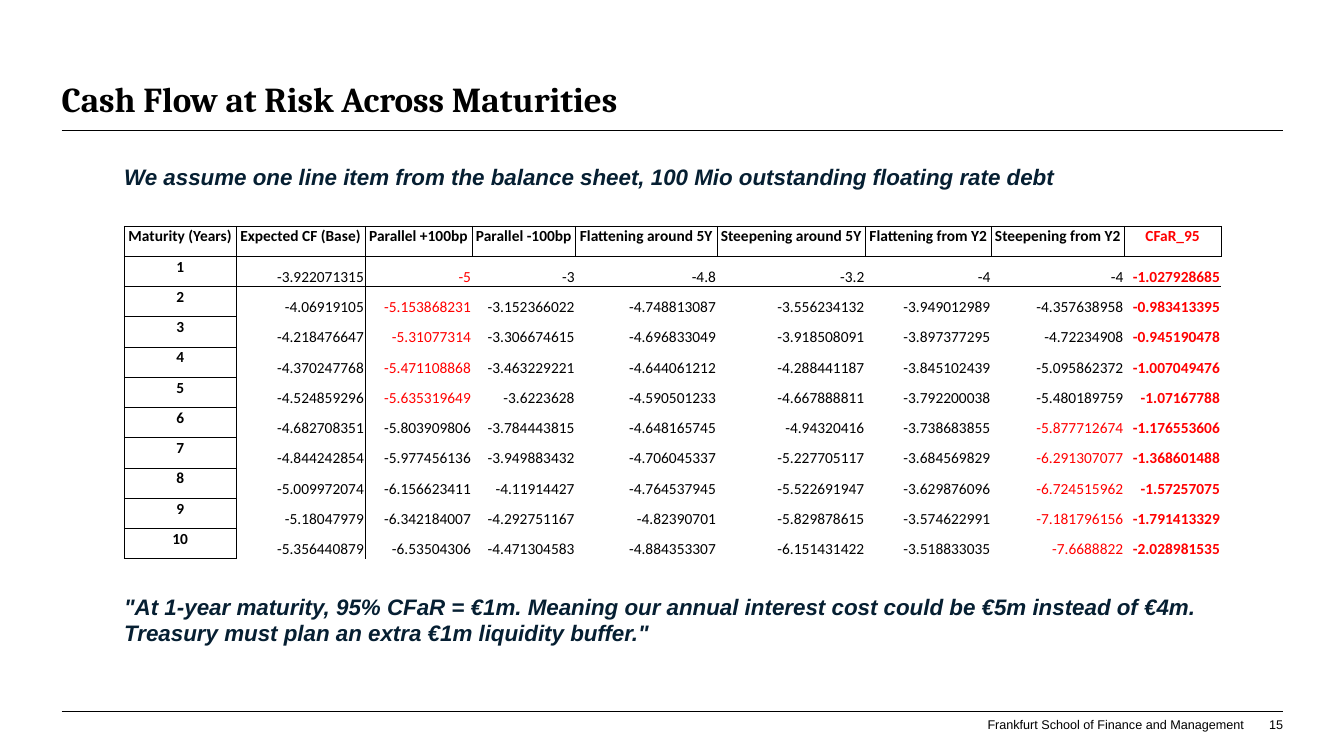
"""Build the slide on cash flow at risk across maturities."""
from lxml import etree
from pptx import Presentation
from pptx.dml.color import RGBColor
from pptx.enum import shapes, text
from pptx.oxml import ns
from pptx.util import Pt

HUES = {"ink": "000000", "navy": "061F32", "red": "FF0000"}
LEFT, CENTER, RIGHT = text.PP_ALIGN.LEFT, text.PP_ALIGN.CENTER, text.PP_ALIGN.RIGHT
TOP, BOTTOM = text.MSO_ANCHOR.TOP, text.MSO_ANCHOR.BOTTOM


def write(frame, words, hue, align, **form):
    para = frame.paragraphs[0]
    para.alignment = align
    run = para.add_run()
    run.text = words
    run.font.color.rgb = RGBColor.from_string(HUES[hue])
    for key, val in form.items():
        setattr(run.font, key, val)


def setup(frame, anchor, wrap=True):
    form = {"margin_left": 0, "margin_top": 0, "margin_right": 0, "margin_bottom": 0,
            "auto_size": text.MSO_AUTO_SIZE.NONE, "word_wrap": wrap,
            "vertical_anchor": anchor}
    for key, val in form.items():
        setattr(frame, key, val)


deck = Presentation()
deck.slide_width, deck.slide_height = Pt(960), Pt(540)
slide = deck.slides.add_slide(deck.slide_layouts[5])

title = slide.shapes.title
title.left, title.top, title.width, title.height = Pt(44), Pt(28), Pt(872.5), Pt(57.5)
setup(title.text_frame, BOTTOM)
write(title.text_frame, "Cash Flow at Risk Across Maturities", "ink", LEFT,
      name="Cambria", size=Pt(25), bold=True)

for y in (93, 508.3):
    rule = slide.shapes.add_connector(
        shapes.MSO_CONNECTOR.STRAIGHT, Pt(44), Pt(y), Pt(916.5), Pt(y))
    rule.line.width = Pt(0.5)
    rule.line.color.rgb = RGBColor.from_string(HUES["ink"])
    etree.SubElement(rule._element.spPr, ns.qn("a:effectLst"))

heads = ["Maturity (Years)", "Expected CF (Base)", "Parallel +100bp", "Parallel -100bp",
         "Flattening around 5Y", "Steepening around 5Y", "Flattening from Y2",
         "Steepening from Y2", "CFaR_95"]
flows = [
    [-3.922071315, -5, -3, -4.8, -3.2, -4, -4, -1.027928685],
    [-4.06919105, -5.153868231, -3.152366022, -4.748813087, -3.556234132,
     -3.949012989, -4.357638958, -0.983413395],
    [-4.218476647, -5.31077314, -3.306674615, -4.696833049, -3.918508091,
     -3.897377295, -4.72234908, -0.945190478],
    [-4.370247768, -5.471108868, -3.463229221, -4.644061212, -4.288441187,
     -3.845102439, -5.095862372, -1.007049476],
    [-4.524859296, -5.635319649, -3.6223628, -4.590501233, -4.667888811,
     -3.792200038, -5.480189759, -1.07167788],
    [-4.682708351, -5.803909806, -3.784443815, -4.648165745, -4.94320416,
     -3.738683855, -5.877712674, -1.176553606],
    [-4.844242854, -5.977456136, -3.949883432, -4.706045337, -5.227705117,
     -3.684569829, -6.291307077, -1.368601488],
    [-5.009972074, -6.156623411, -4.11914427, -4.764537945, -5.522691947,
     -3.629876096, -6.724515962, -1.57257075],
    [-5.18047979, -6.342184007, -4.292751167, -4.82390701, -5.829878615,
     -3.574622991, -7.181796156, -1.791413329],
    [-5.356440879, -6.53504306, -4.471304583, -4.884353307, -6.151431422,
     -3.518833035, -7.6688822, -2.028981535],
]
rows = [heads] + [[year] + flow for year, flow in enumerate(flows, 1)]
widths = [80, 92, 76.5, 74, 101, 106, 90, 95, 69]
last = len(heads) - 1

holder = slide.shapes.add_table(len(rows), len(heads), Pt(88.7), Pt(161.5),
                                Pt(sum(widths)), Pt(21.6 * len(rows)))
table = holder.table
table.first_row = table.horz_banding = False
holder._element.xpath(".//a:tableStyleId")[0].text = "{2D5ABB26-0587-4C30-8999-92F81FD0307C}"
for col, width in zip(table.columns, widths):
    col.width = Pt(width)

for r, row in enumerate(rows):
    table.rows[r].height = Pt(21.6)
    for c, value in enumerate(row):
        cell = table.cell(r, c)
        label = r == 0 or c == 0
        worst = r > 0 and 0 < c < last and value == min(row[1:last])
        form = {"margin_left": Pt(0.7), "margin_top": Pt(0.7), "margin_right": Pt(0.7),
                "margin_bottom": 0, "vertical_anchor": TOP if label else BOTTOM}
        for key, val in form.items():
            setattr(cell, key, val)
        write(cell.text_frame, str(value), "red" if worst or c == last else "ink",
              CENTER if label else RIGHT,
              name="Calibri", size=Pt(11), bold=label or c == last)
        sides = "LRTB" if label else "L" * (c == 1) + "T" * (r == 1)
        for side in sides:
            edge = etree.SubElement(cell._tc.get_or_add_tcPr(), ns.qn("a:ln" + side),
                                    w=str(Pt(0.5)))
            fill = etree.SubElement(edge, ns.qn("a:solidFill"))
            etree.SubElement(fill, ns.qn("a:srgbClr"), val=HUES["ink"])
        cell.fill.background()

body = {"name": "Arial", "size": Pt(16), "bold": True, "italic": True}
small = {"name": "Arial", "size": Pt(9)}
notes = [
    ("\"At 1-year maturity, 95% CFaR = €1m. Meaning our annual interest cost could be "
     "€5m instead of €4m. Treasury must plan an extra €1m liquidity buffer.\"",
     (88.7, 423.4, 766, 39), "navy", LEFT, TOP, True, body),
    ("We assume one line item from the balance sheet, 100 Mio outstanding floating rate debt",
     (88.7, 116.6, 766, 19.5), "navy", LEFT, TOP, True, body),
    ("Frankfurt School of Finance and Management",
     (703.5, 512, 185, 10.8), "ink", RIGHT, BOTTOM, False, small),
    ("15", (890.6, 512, 26, 10.8), "ink", RIGHT, BOTTOM, True, small),
]
for words, place, hue, align, anchor, wrap, form in notes:
    box = slide.shapes.add_textbox(*map(Pt, place))
    setup(box.text_frame, anchor, wrap)
    write(box.text_frame, words, hue, align, **form)

deck.save("out.pptx")
